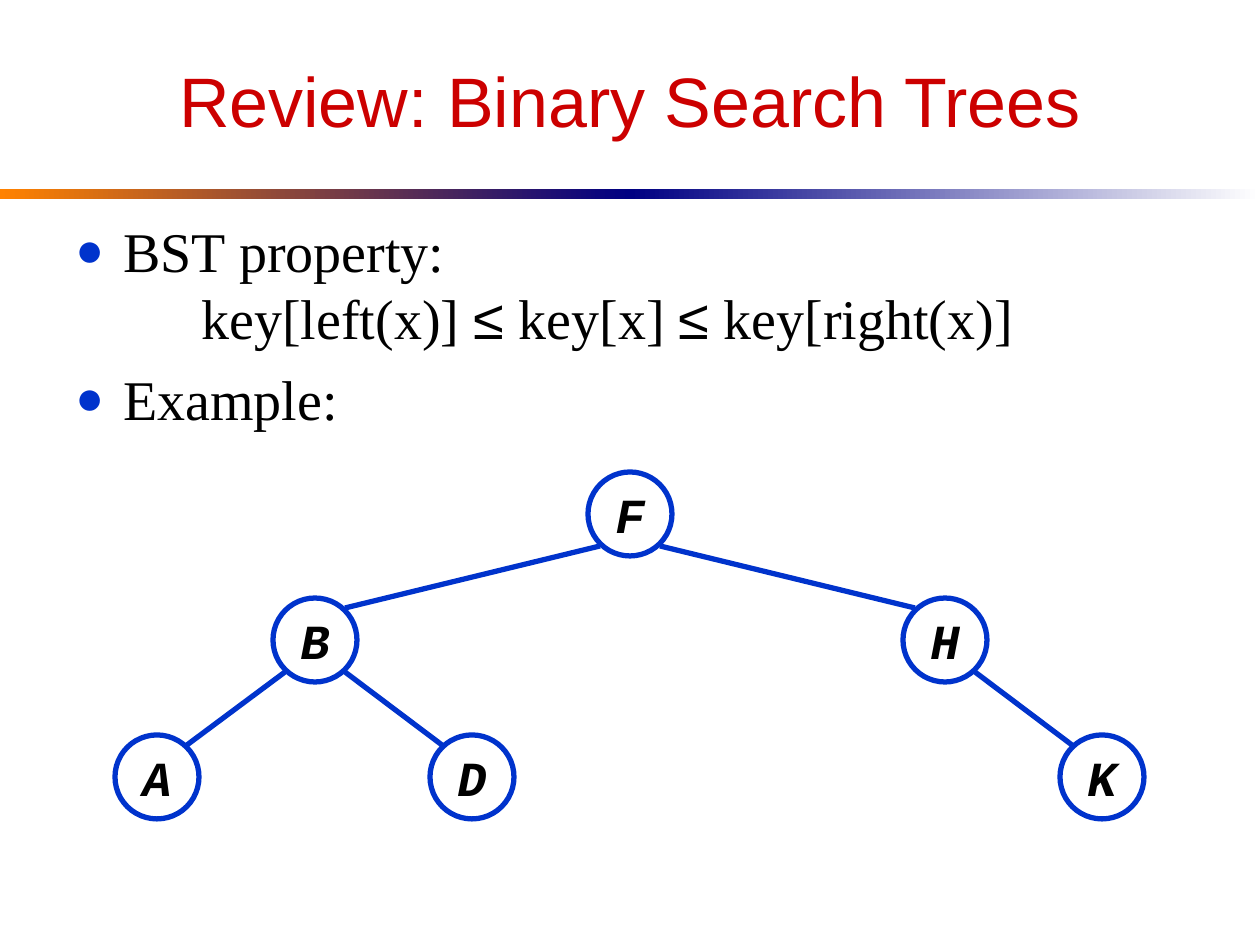
from lxml import etree
from pptx import Presentation
from pptx import util as u
from pptx.dml.color import RGBColor
from pptx.enum import shapes, text
from pptx.oxml import ns

SCALE = 914400 // 126
HUES = {"title": "CC0000", "blue": "0033CC", "ink": "000000",
        "paper": "FFFFFF", "navy": "000082", "orange": "FF8200"}
SIZE = 84
NODES = {"F": (630, 514), "B": (315, 640), "H": (945, 640),
         "K": (1102, 777), "D": (472, 777), "A": (157, 777)}
EDGES = ["BA", "BD", "FB", "FH", "HK"]
RULE = "key[left(x)] ≤ key[x] ≤ key[right(x)]"


def px(*vals):
    return [u.Emu(v * SCALE) for v in vals]


def hue(name):
    return RGBColor.from_string(HUES[name])


def add(parent, tag, **attrs):
    node = etree.SubElement(parent, ns.qn(tag))
    for key, val in attrs.items():
        node.set(key, val)
    return node


def style(para, face, size, color, bold=False):
    font = para.font
    font.name, font.size = face, u.Pt(size)
    font.color.rgb = hue(color)
    font.bold = font.italic = bold


def band(slide, left, start, end):
    bar = slide.shapes.add_shape(shapes.MSO_SHAPE.RECTANGLE, *px(left, 189, 630, 10))
    bar.shadow.inherit = False
    bar.line.fill.background()
    bar.fill.gradient()
    bar.fill.gradient_angle = 0
    for stop, name in zip(bar.fill.gradient_stops, (start, end)):
        stop.color.rgb = hue(name)


def title(slide, words):
    head = slide.shapes.title
    head.left, head.top, head.width, head.height = px(63, 32, 1134, 136)
    frame = head.text_frame
    frame.text = words
    frame.vertical_anchor = text.MSO_ANCHOR.MIDDLE
    para = frame.paragraphs[0]
    para.alignment = text.PP_ALIGN.CENTER
    style(para, "Arial", 40, "title")


def bullet(para, words):
    para.add_run().text = words
    para.space_before = u.Pt(8)
    props = para._p.get_or_add_pPr()
    props.set("marL", str(48 * SCALE))
    props.set("indent", str(-48 * SCALE))
    add(add(props, "a:buClr"), "a:srgbClr", val=HUES["blue"])
    add(props, "a:buSzPct", val="85000")
    add(props, "a:buFont", typeface="Arial")
    add(props, "a:buChar", char="●")
    add(add(props, "a:tabLst"), "a:tab", pos=str(126 * SCALE), algn="l")
    style(para, "Times New Roman", 32, "ink")


def body(slide):
    frame = slide.shapes.add_textbox(*px(63, 210, 1134, 599)).text_frame
    frame.word_wrap = True
    first = frame.paragraphs[0]
    bullet(first, "BST property: ")
    first.add_line_break()
    for i, part in enumerate(RULE.split("≤")):
        if i:
            sign = first.add_run()
            sign.text = "≤"
            sign.font.name = "Arial"
        first.add_run().text = part if i else "\t" + part
    bullet(frame.add_paragraph(), "Example:")


def node(slide, key):
    x, y = NODES[key]
    disc = slide.shapes.add_shape(
        shapes.MSO_SHAPE.OVAL, *px(x - SIZE // 2, y - SIZE // 2, SIZE, SIZE))
    disc.shadow.inherit = False
    disc.fill.solid()
    disc.fill.fore_color.rgb = hue("paper")
    disc.line.color.rgb = hue("blue")
    disc.line.width = u.Pt(3)
    frame = disc.text_frame
    frame.word_wrap = False
    frame.vertical_anchor = text.MSO_ANCHOR.MIDDLE
    frame.text = key
    para = frame.paragraphs[0]
    para.alignment = text.PP_ALIGN.CENTER
    style(para, "Courier New", 28, "ink", True)


def edge(slide, top, low):
    (x1, y1), (x2, y2) = NODES[top], NODES[low]
    dx = 30 if x2 > x1 else -30
    line = slide.shapes.add_connector(
        shapes.MSO_CONNECTOR.STRAIGHT, *px(x1 + dx, y1 + 32, x2 - dx, y2 - 32))
    line.line.color.rgb = hue("blue")
    line.line.width = u.Pt(3)
    add(line._element.spPr, "a:effectLst")


def main():
    deck = Presentation()
    deck.slide_width, deck.slide_height = px(1260, 945)
    slide = deck.slides.add_slide(deck.slide_layouts[5])
    band(slide, 0, "orange", "navy")
    band(slide, 630, "navy", "paper")
    title(slide, "Review: Binary Search Trees")
    body(slide)
    for key in NODES:
        node(slide, key)
    for top, low in EDGES:
        edge(slide, top, low)
    deck.save("out.pptx")


main()
